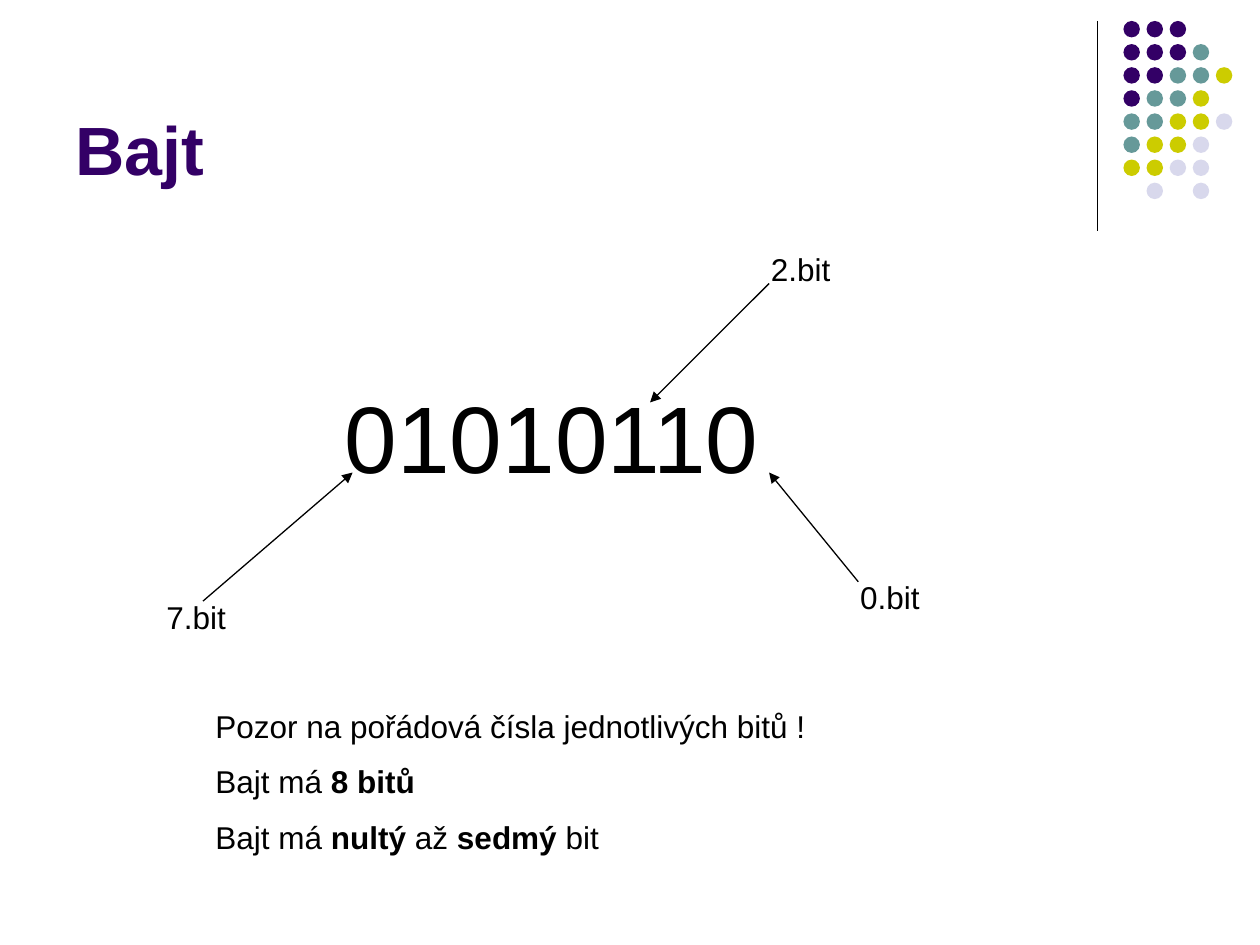
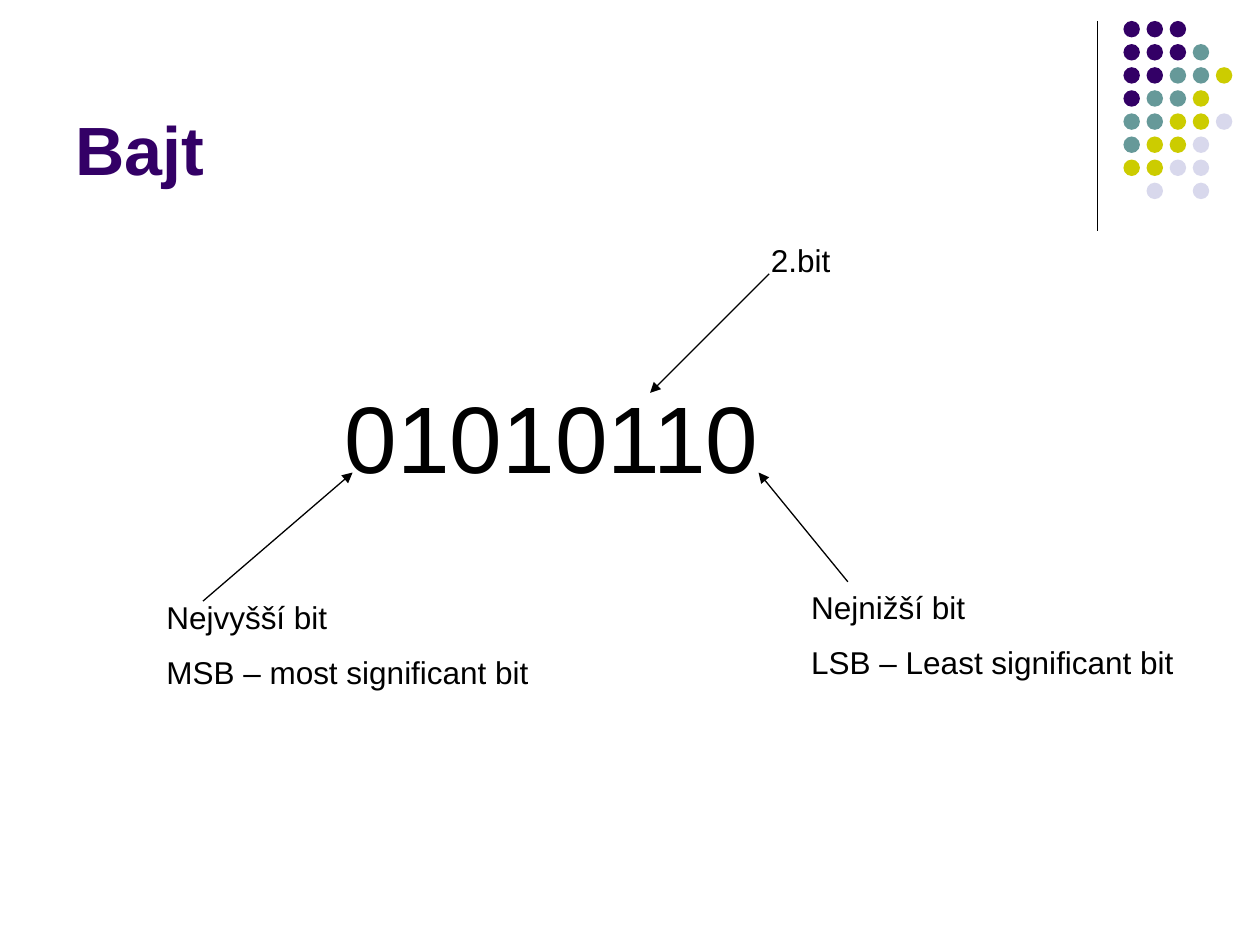
import pptx
import pptx.dml.color
import pptx.enum.shapes
import pptx.enum.text
import pptx.oxml.ns
import pptx.util
import lxml.etree

Pt = pptx.util.Pt
RGBColor = pptx.dml.color.RGBColor

BLACK = RGBColor(0x00, 0x00, 0x00)
PURPLE = RGBColor(0x33, 0x00, 0x66)
TEAL = RGBColor(0x66, 0x99, 0x99)
LIME = RGBColor(0xCC, 0xCC, 0x00)
LAVENDER = RGBColor(0xD8, 0xD8, 0xEC)

DOT_COLOURS = {"P": PURPLE, "T": TEAL, "L": LIME, "V": LAVENDER}
DOT_ROWS = ["PPP", "PPPT", "PPTTL", "PTTL", "TTLLV", "TLLV", "LLVV", ".V.V"]
DOT_LEFT, DOT_TOP, DOT_PITCH, DOT_SIZE = 642, 12, 13.2, 9.4


class Deck:
    """Holds the shared style and the slide being drawn."""

    font = "Arial"
    body_size = 18
    paragraph_gap = 10
    line_width = 0.75

    def __init__(self):
        self.presentation = pptx.Presentation()
        self.presentation.slide_width = Pt(720)
        self.presentation.slide_height = Pt(540)
        self.shapes = None

    def new_slide(self, title):
        blank = self.presentation.slide_layouts[6]
        self.shapes = self.presentation.slides.add_slide(blank).shapes
        self.line((627, 12), (627, 132))
        self.dots()
        heading = self.text(36, 9.5, 594, 102, [title], 39, PURPLE, bold=True)
        heading.auto_size = pptx.enum.text.MSO_AUTO_SIZE.NONE
        heading.vertical_anchor = pptx.enum.text.MSO_ANCHOR.BOTTOM

    def dots(self):
        for row, codes in enumerate(DOT_ROWS):
            for column, code in enumerate(codes):
                if code in DOT_COLOURS:
                    self.dot(DOT_LEFT + column * DOT_PITCH,
                             DOT_TOP + row * DOT_PITCH, DOT_COLOURS[code])

    def dot(self, left, top, colour):
        dot = self.shapes.add_shape(pptx.enum.shapes.MSO_SHAPE.OVAL, Pt(left), Pt(top),
                                    Pt(DOT_SIZE), Pt(DOT_SIZE))
        dot.shadow.inherit = False
        dot.fill.solid()
        dot.fill.fore_color.rgb = colour
        dot.line.fill.background()

    def line(self, start, end):
        line = self.shapes.add_connector(pptx.enum.shapes.MSO_CONNECTOR.STRAIGHT,
                                         *map(Pt, start + end))
        line.line.color.rgb = BLACK
        line.line.width = Pt(self.line_width)
        lxml.etree.SubElement(line._element.spPr, pptx.oxml.ns.qn("a:effectLst"))
        return line

    def arrow(self, start, end):
        outline = self.line(start, end)._element.spPr.find(pptx.oxml.ns.qn("a:ln"))
        lxml.etree.SubElement(outline, pptx.oxml.ns.qn("a:tailEnd"), type="triangle")

    def text(self, left, top, width, height, paragraphs, size=body_size,
             colour=BLACK, bold=False):
        """Add a text box; words between asterisks are bold."""
        box = self.shapes.add_textbox(Pt(left), Pt(top), Pt(width), Pt(height))
        frame = box.text_frame
        frame.word_wrap = True
        frame.auto_size = pptx.enum.text.MSO_AUTO_SIZE.SHAPE_TO_FIT_TEXT
        for index, content in enumerate(paragraphs):
            paragraph = frame.add_paragraph() if index else frame.paragraphs[0]
            if index:
                paragraph.space_before = Pt(self.paragraph_gap)
            paragraph.font.name = self.font
            paragraph.font.size = Pt(size)
            paragraph.font.color.rgb = colour
            if bold:
                paragraph.font.bold = True
            for part, words in enumerate(content.split("*")):
                if words:
                    run = paragraph.add_run()
                    run.text = words
                    if part % 2:
                        run.font.bold = True
        return frame

    def byte(self):
        """Add the eight digits and the arrow to the highest bit."""
        self.text(190, 213, 329, 72, ["01010110"], 54)
        self.arrow((116, 343.5), (201.5, 270))

    def second_bit(self, label_top):
        self.text(433.5, label_top, 96.5, 29, ["2.bit"])
        self.arrow((439.5, label_top + 22.5), (371.5, label_top + 90.5))

    def lowest_bit_arrow(self, tip_left):
        self.arrow((tip_left + 51, 332.5), (tip_left, 270))


def bit_numbers(deck):
    deck.new_slide("Bajt")
    deck.byte()
    deck.lowest_bit_arrow(439.5)
    deck.text(484.5, 327, 130, 29, ["0.bit"])
    deck.text(88, 338, 124.5, 29, ["7.bit"])
    deck.second_bit(139.5)
    deck.text(116, 400.5, 414, 93.5, [
        "Pozor na pořádová čísla jednotlivých bitů !",
        "Bajt má *8 bitů*",
        "Bajt má *nultý* až *sedmý* bit",
    ])


def bit_significance(deck):
    deck.new_slide("Bajt")
    deck.byte()
    deck.lowest_bit_arrow(433.5)
    deck.text(456.5, 332.5, 238.5, 61, ["Nejnižší bit", "LSB – Least significant bit"])
    deck.text(88, 338, 227, 61, ["Nejvyšší bit", "MSB – most significant bit"])
    deck.second_bit(134)


def main():
    deck = Deck()
    bit_numbers(deck)
    bit_significance(deck)
    deck.presentation.save("out.pptx")


if __name__ == "__main__":
    main()
